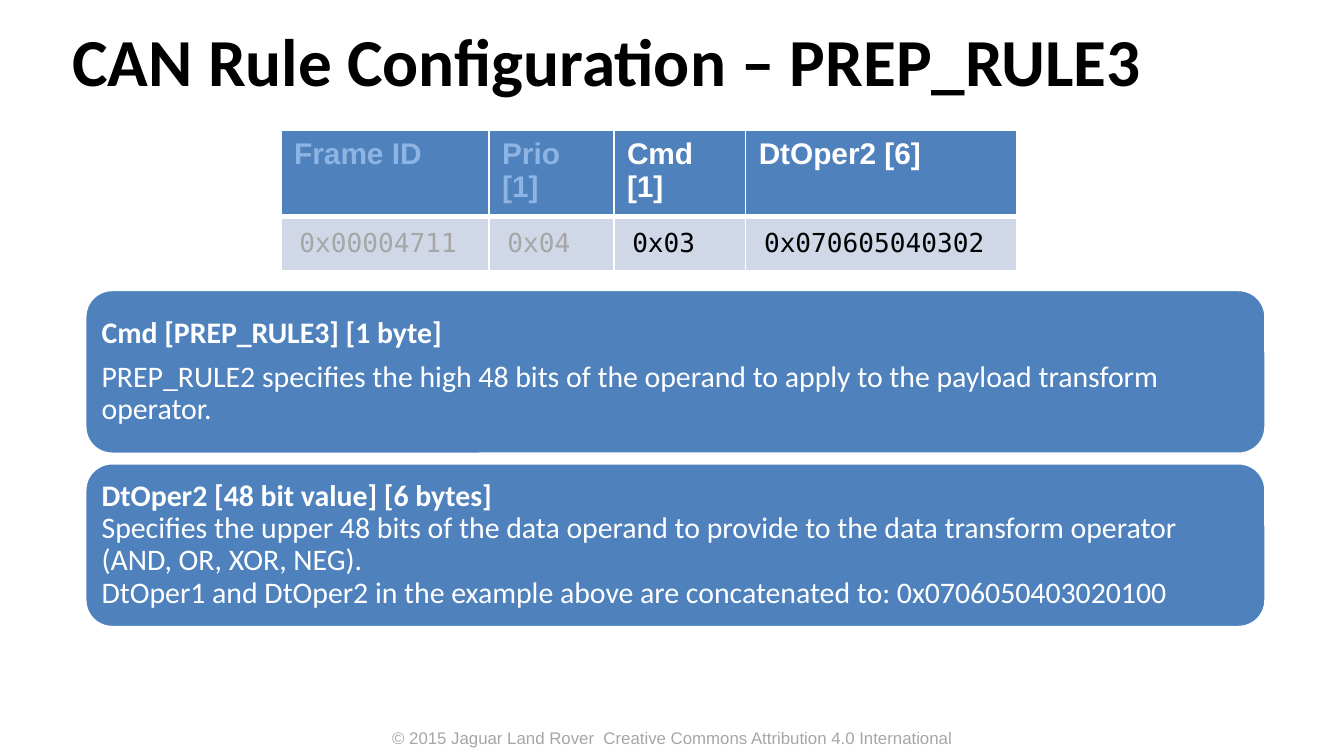
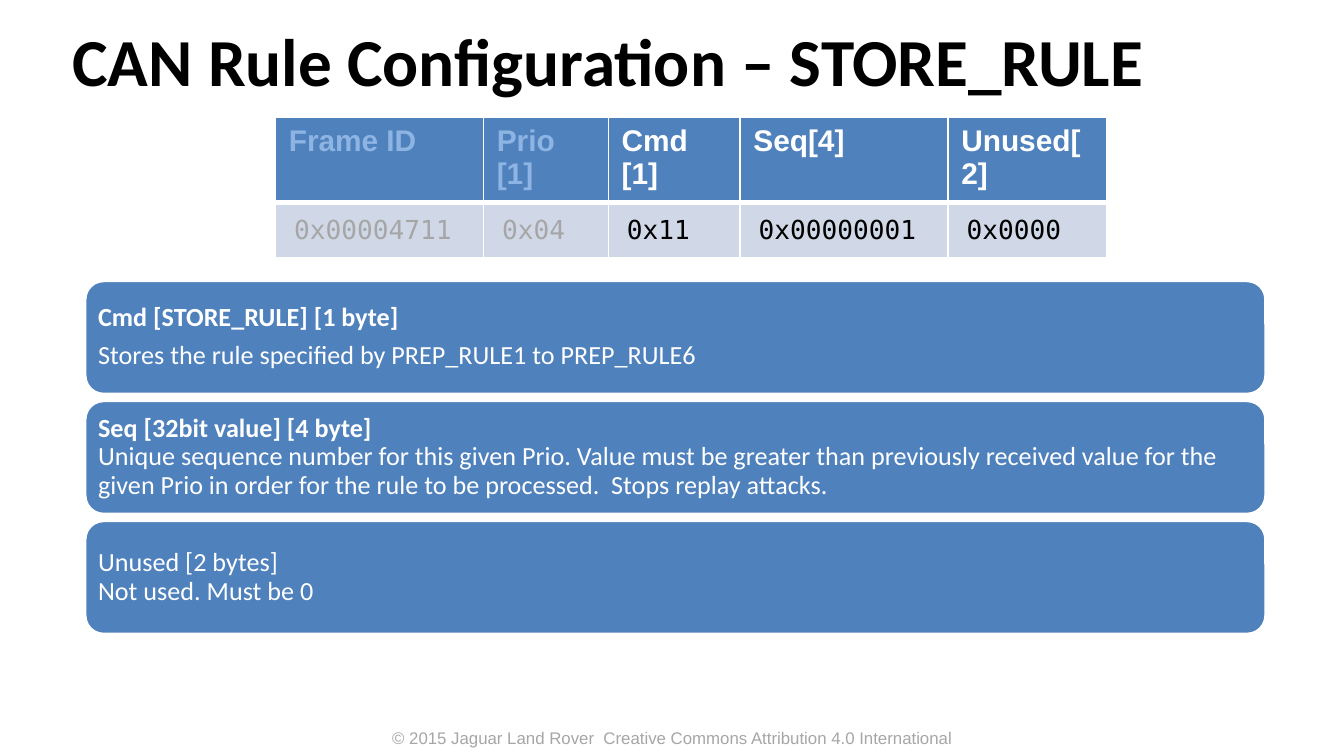
from dataclasses import dataclass
from typing import Any

from lxml import etree
from pptx import Presentation
from pptx.dml.color import RGBColor
from pptx.enum.shapes import MSO_SHAPE
from pptx.enum.text import MSO_ANCHOR, MSO_AUTO_SIZE, PP_ALIGN
from pptx.oxml.ns import qn
from pptx.util import Cm, Pt

ROUNDED = MSO_SHAPE.ROUNDED_RECTANGLE
MIDDLE, TOP = MSO_ANCHOR.MIDDLE, MSO_ANCHOR.TOP
LEFT, CENTER = PP_ALIGN.LEFT, PP_ALIGN.CENTER
GROW = MSO_AUTO_SIZE.SHAPE_TO_FIT_TEXT

# Shared palette, wording and measures (cm)
BLACK, WHITE, GREY = "000000", "FFFFFF", "A6A6A6"
BLUE, PALE_BLUE, MUTED_BLUE = "4F81BD", "D0D8E8", "8EB4E3"
TITLE_STEM = "CAN Rule Configuration – "
FOOTER = "© 2015 Jaguar Land Rover  Creative Commons Attribution 4.0 International"
CARD_LEFT, CARD_WIDTH = 1.6, 22.33
CARD_GAP = 0.05  # share of the card height
ROW_HEIGHT = 1.03
MUTED_FIELDS = 2  # leading frame fields shown faded


@dataclass(frozen=True)
class Field:
    label: str
    value: str
    width: float


@dataclass(frozen=True)
class Card:
    heading: str
    lines: tuple[str, ...]
    bold: bool = True
    split: bool = False  # heading stands in a paragraph of its own


@dataclass(frozen=True)
class RuleSlide:
    rule: str
    frame_left: float
    frame_top: float
    fields: tuple[Field, ...]
    cards_top: float
    card_height: float
    card_inset: float
    text_size: int
    cards: tuple[Card, ...]


FRAME_ID = Field("Frame ID", "0x00004711", 3.93)
PRIO = Field("Prio [1]", "0x04", 2.36)

RULES = (
    RuleSlide(
        "PREP_RULE3", 5.31, 2.47,
        (FRAME_ID, PRIO, Field("Cmd [1]", "0x03", 2.49),
         Field("DtOper2 [6]", "0x070605040302", 5.12)),
        5.47, 3.12, 0.17, 16,
        (Card("Cmd [PREP_RULE3] [1 byte]",
              ("PREP_RULE2 specifies the high 48 bits of the operand to apply "
               "to the payload transform operator.",), split=True),
         Card("DtOper2 [48 bit value] [6 bytes]",
              ("Specifies the upper 48 bits of the data operand to provide to "
               "the data transform operator (AND, OR, XOR, NEG).",
               "DtOper1 and DtOper2 in the example above are concatenated to: "
               "0x0706050403020100"))),
    ),
    RuleSlide(
        "STORE_RULE", 5.21, 2.22,
        (FRAME_ID, PRIO, Field("Cmd [1]", "0x11", 2.49),
         Field("Seq[4]", "0x00000001", 3.93), Field("Unused[2]", "0x0000", 2.99)),
        5.3, 2.16, 0.15, 14,
        (Card("Cmd [STORE_RULE] [1 byte]",
              ("Stores the rule specified by PREP_RULE1 to PREP_RULE6",),
              split=True),
         Card("Seq [32bit value] [4 byte]",
              ("Unique sequence number for this given Prio. Value must be "
               "greater than previously received value for the given Prio in "
               "order for the rule to be processed.  Stops replay attacks.",)),
         Card("Unused [2 bytes]", ("Not used. Must be 0",), bold=False)),
    ),
)


# Formatting helpers
def rgb(value: str) -> RGBColor:
    return RGBColor.from_string(value)


def apply_format(target: Any, values: dict[str, Any]) -> None:
    for attribute, value in values.items():
        setattr(target, attribute, value)


def margins(horizontal: float, vertical: float) -> dict[str, Any]:
    return {"margin_left": Cm(horizontal), "margin_right": Cm(horizontal),
            "margin_top": Cm(vertical), "margin_bottom": Cm(vertical)}


def paint(target: Any, color: str) -> None:
    target.fill.solid()
    target.fill.fore_color.rgb = rgb(color)


def add_text(paragraph: Any, text: str, font: str, size: int, color: str,
             bold: bool = False) -> None:
    run = paragraph.add_run()
    run.text = text
    apply_format(run.font, {"name": font, "size": Pt(size), "bold": bold})
    run.font.color.rgb = rgb(color)


def add_label(slide: Any, box: tuple[float, ...], frame_format: dict[str, Any],
              paragraph_format: dict[str, Any], text: str, font: str, size: int,
              color: str, bold: bool = False) -> None:
    frame = slide.shapes.add_textbox(*map(Cm, box)).text_frame
    apply_format(frame, {"word_wrap": True, **frame_format})
    apply_format(frame.paragraphs[0], paragraph_format)
    add_text(frame.paragraphs[0], text, font, size, color, bold)


def add_borders(cell: Any, top: int, bottom: int) -> None:
    properties = cell._tc.get_or_add_tcPr()
    for side, width in {"L": 1, "R": 1, "T": top, "B": bottom}.items():
        border = etree.SubElement(properties, qn(f"a:ln{side}"), w=str(Pt(width)))
        fill = etree.SubElement(border, qn("a:solidFill"))
        etree.SubElement(fill, qn("a:srgbClr"), val=WHITE)


# Parts of a slide
def add_title_and_footer(slide: Any, rule: str) -> None:
    add_label(slide, (6.35, 13.64, 12.7, 0.64), {"auto_size": GROW},
              {"alignment": CENTER}, FOOTER, "Arial", 9, GREY)
    add_label(slide, (1.37, 0.2, 22.2, 2.01),
              {"vertical_anchor": MIDDLE, **margins(0, 0)},
              {"line_spacing": 0.95}, TITLE_STEM + rule, "Calibri", 36, BLACK, True)


def add_card(slide: Any, card: Card, top: float, layout: RuleSlide) -> None:
    shape = slide.shapes.add_shape(ROUNDED, Cm(CARD_LEFT), Cm(top),
                                   Cm(CARD_WIDTH), Cm(layout.card_height))
    shape.shadow.inherit = False
    paint(shape, BLUE)
    shape.line.color.rgb = rgb(WHITE)
    shape.line.width = Pt(2)
    frame = shape.text_frame
    apply_format(frame, {"word_wrap": True, "vertical_anchor": MIDDLE,
                         **margins(layout.card_inset, layout.card_inset)})
    paragraph = frame.paragraphs[0]
    add_text(paragraph, card.heading, "Calibri", layout.text_size, WHITE, card.bold)
    for line in card.lines:
        if card.split:
            paragraph = frame.add_paragraph()
        else:
            paragraph.add_line_break()
        add_text(paragraph, line, "Calibri", layout.text_size, WHITE)
    for paragraph in frame.paragraphs:
        apply_format(paragraph, {"alignment": LEFT, "line_spacing": 0.9,
                                 "space_after": Pt(0.37 * layout.text_size)})


def add_frame_table(slide: Any, layout: RuleSlide) -> None:
    fields = layout.fields
    frame_table = slide.shapes.add_table(
        2, len(fields), Cm(layout.frame_left), Cm(layout.frame_top),
        Cm(sum(field.width for field in fields)), Cm(2 * ROW_HEIGHT)).table
    frame_table.horz_banding = False
    for index, field in enumerate(fields):
        frame_table.columns[index].width = Cm(field.width)
        muted = index < MUTED_FIELDS
        label, value = frame_table.cell(0, index), frame_table.cell(1, index)
        add_borders(label, 1, 3)
        add_borders(value, 3, 1)
        paint(label, BLUE)
        paint(value, PALE_BLUE)
        apply_format(label, {"vertical_anchor": TOP, **margins(0.25, 0.13)})
        apply_format(value, {"vertical_anchor": MIDDLE, **margins(0.35, 0.15)})
        add_text(label.text_frame.paragraphs[0], field.label, "Arial", 16,
                 MUTED_BLUE if muted else WHITE, True)
        add_text(value.text_frame.paragraphs[0], field.value, "DejaVu Sans Mono",
                 14, GREY if muted else BLACK)


def main() -> None:
    deck = Presentation()
    apply_format(deck, {"slide_width": Cm(25.4), "slide_height": Cm(14.29)})
    for layout in RULES:
        slide = deck.slides.add_slide(deck.slide_layouts[6])
        add_title_and_footer(slide, layout.rule)
        pitch = layout.card_height * (1 + CARD_GAP)
        for index, card in enumerate(layout.cards):
            add_card(slide, card, layout.cards_top + index * pitch, layout)
        add_frame_table(slide, layout)
    deck.save("out.pptx")


if __name__ == "__main__":
    main()
